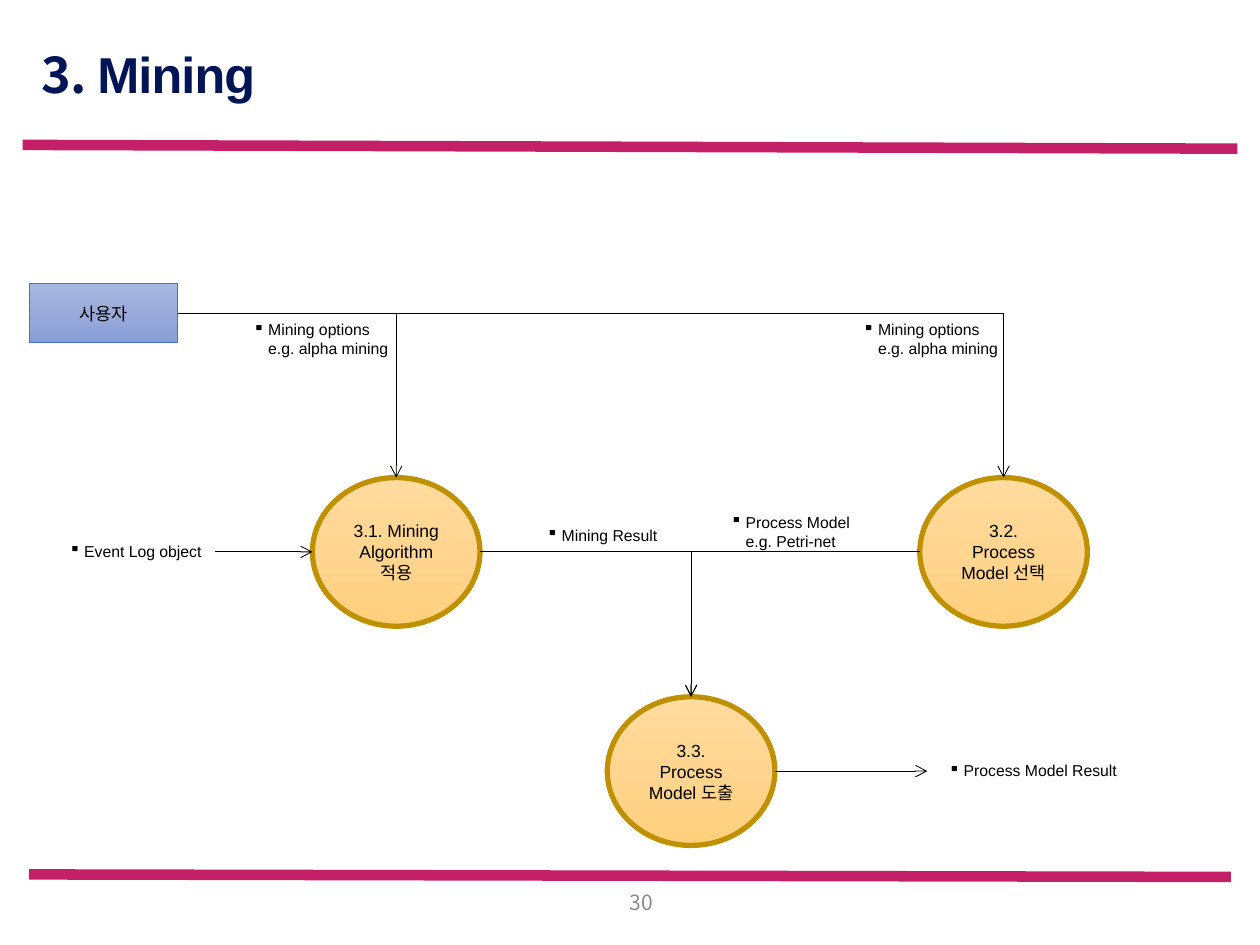
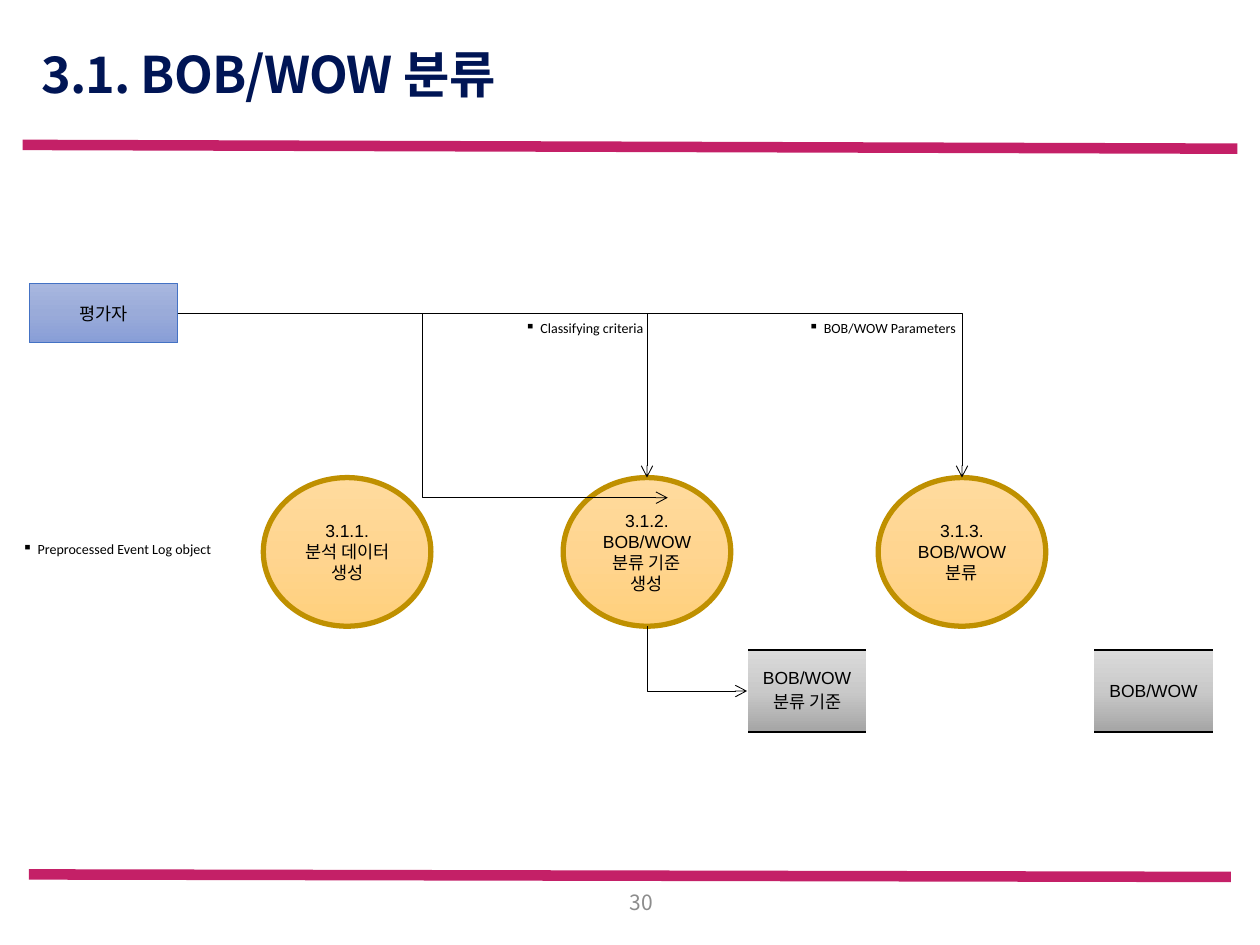
import copy
from dataclasses import dataclass

import pptx
import pptx.dml.color
import pptx.enum.shapes
import pptx.enum.text
import pptx.oxml
import pptx.oxml.ns
import pptx.util
from lxml import etree

Inches = pptx.util.Inches
Pt = pptx.util.Pt
qn = pptx.oxml.ns.qn
ANCHOR = pptx.enum.text.MSO_ANCHOR
ALIGN = pptx.enum.text.PP_ALIGN
AUTO_SIZE = pptx.enum.text.MSO_AUTO_SIZE
SHAPE = pptx.enum.shapes.MSO_SHAPE
CONNECTOR = pptx.enum.shapes.MSO_CONNECTOR


@dataclass(frozen=True)
class Theme:
    band: str = "C42067"
    title: str = "001555"
    number: str = "8C8C8C"
    ink: str = "000000"
    paper: str = "FFFFFF"
    process_line: str = "BF9000"
    actor_line: str = "4472C4"
    process_fill: tuple = ("FFDB9E", "FFD590", "FFD07C")
    actor_fill: tuple = ("A8B7DF", "9AABD9", "889ED7")
    store_fill: tuple = ("DBDBDB", "C9C9C9", "A5A5A5")
    title_font: str = "Noto Sans CJK KR"
    body_font: str = "Arial"
    small_font: str = "Calibri"
    title_size: float = 28.8
    number_size: float = 12
    node_size: float = 10
    label_size: float = 9
    small_size: float = 8


THEME = Theme()
PROCESS_TOP = Inches(3.79)
PROCESS_SIZE = Inches(1.33), Inches(1.18)
STORE_TOP = Inches(5.16)
STORE_SIZE = Inches(0.95), Inches(0.65)
LABEL_TOP = 2.49


def rgb(value):
    return pptx.dml.color.RGBColor.from_string(value)


def set_font(font, name, size, color):
    font.name = name
    font.size = Pt(size)
    font.color.rgb = rgb(color)


def write_centred(tf, lines):
    """Fill a node with one centred paragraph for each line."""
    for i, line in enumerate(lines):
        p = tf.paragraphs[0] if i == 0 else tf.add_paragraph()
        p.text = line
        p.alignment = ALIGN.CENTER
        set_font(p.font, THEME.body_font, THEME.node_size, THEME.ink)


def fill_gradient(fill, element, colors):
    """Apply three evenly spaced stops from top to bottom."""
    fill.gradient()
    fill.gradient_angle = 270
    stops = element.find(".//" + qn("a:gsLst"))
    stops.insert(1, copy.deepcopy(stops[0]))
    for i, (stop, color) in enumerate(zip(fill.gradient_stops, colors)):
        stop.color.rgb = rgb(color)
        stop.position = i / 2


def add_line(s, kind, begin, end, color=THEME.ink, width=0.5, arrow="tailEnd"):
    """Draw a connector; arrow names the line end that gets a head, or None."""
    line = s.shapes.add_connector(kind, *begin, *end)
    line.line.color.rgb = rgb(color)
    line.line.width = Pt(width)
    sp_pr = line.element.spPr
    if arrow:
        etree.SubElement(sp_pr.find(qn("a:ln")), qn("a:" + arrow), type="arrow")
    etree.SubElement(sp_pr, qn("a:effectLst"))
    return line


def add_arrow(s, begin, end):
    return add_line(s, CONNECTOR.STRAIGHT, begin, end)


def add_corner(s, begin, end, arrow="tailEnd"):
    """Draw a one-bend connector that runs across first, then up or down."""
    line = add_line(s, CONNECTOR.ELBOW, begin, end, arrow=arrow)
    line.element.spPr.find(qn("a:prstGeom")).set("prst", "bentConnector2")
    return line


def port(sp, across, down):
    """Point on a shape, as fractions of its width and height."""
    return int(sp.left + sp.width * across), int(sp.top + sp.height * down)


def add_node(s, shape, box, lines, colors, line_color, line_width):
    sp = s.shapes.add_shape(shape, *box)
    sp.shadow.inherit = False
    fill_gradient(sp.fill, sp.element, colors)
    sp.line.color.rgb = rgb(line_color)
    sp.line.width = Pt(line_width)
    tf = sp.text_frame
    tf.word_wrap = True
    tf.vertical_anchor = ANCHOR.MIDDLE
    write_centred(tf, lines)
    return sp


def add_process(s, left, *lines, top=PROCESS_TOP):
    box = Inches(left), top, *PROCESS_SIZE
    return add_node(s, SHAPE.OVAL, box, lines, THEME.process_fill,
                    THEME.process_line, 3)


def add_actor(s, name):
    box = [Inches(v) for v in (0.23, 2.25, 1.18, 0.47)]
    return add_node(s, SHAPE.RECTANGLE, box, [name], THEME.actor_fill,
                    THEME.actor_line, 0.5)


def add_store(s, left, *lines):
    """Draw a data store: a one-cell table ruled above and below."""
    frame = s.shapes.add_table(1, 1, Inches(left), STORE_TOP, *STORE_SIZE)
    table = frame.table
    table.first_row = table.horz_banding = False
    cell = table.cell(0, 0)
    cell.vertical_anchor = ANCHOR.MIDDLE
    write_centred(cell.text_frame, lines)
    tc_pr = cell._tc.get_or_add_tcPr()
    fill_gradient(cell.fill, tc_pr, THEME.store_fill)
    borders = (("lnL", THEME.paper, 1), ("lnR", THEME.paper, 1),
               ("lnT", THEME.ink, 1.5), ("lnB", THEME.ink, 1.5))
    for i, (side, color, width) in enumerate(borders):
        ln = etree.Element(qn("a:" + side), w=str(Pt(width)))
        solid = etree.SubElement(ln, qn("a:solidFill"))
        etree.SubElement(solid, qn("a:srgbClr"), val=color)
        tc_pr.insert(i, ln)
    return frame


def add_label(s, text, left, top, width, height=0.25, wrap=False,
              font=THEME.body_font, size=THEME.label_size):
    """Add a bulleted data-flow label."""
    box = s.shapes.add_textbox(*(Inches(v) for v in (left, top, width, height)))
    tf = box.text_frame
    tf.word_wrap = wrap
    tf.auto_size = AUTO_SIZE.SHAPE_TO_FIT_TEXT
    p = tf.paragraphs[0]
    p.text = text
    p_pr = p._p.get_or_add_pPr()
    p_pr.set("marL", str(Inches(0.19)))
    p_pr.set("indent", str(Inches(-0.12)))
    etree.SubElement(p_pr, qn("a:buChar"), char="▪")
    set_font(p.font, font, size, THEME.ink)


def add_small_label(s, text, left, top, width):
    add_label(s, text, left, top, width, 0.24,
              font=THEME.small_font, size=THEME.small_size)


def prepare_layout(layout, s):
    """Put the bands and the title position on the layout, drawing via slide s."""
    title = layout.placeholders[0]
    title.left, title.top = Inches(0.23), Inches(0.4)
    title.width, title.height = Inches(9.41), Inches(0.43)
    bands = ((0.18, 1.15, 9.82, 1.18), (0.23, 6.94, 9.77, 6.96))
    for i, band in enumerate(bands):
        x1, y1, x2, y2 = (Inches(v) for v in band)
        line = add_line(s, CONNECTOR.STRAIGHT, (x1, y1), (x2, y2),
                        THEME.band, 6, arrow=None)
        line.element.nvCxnSpPr.cNvPr.set("id", str(20 + i))
        layout.shapes._spTree.append(line.element)


def add_title(s, parts):
    """Write the title from (text, font) parts."""
    tf = s.shapes.title.text_frame
    tf.vertical_anchor = ANCHOR.MIDDLE
    tf.auto_size = AUTO_SIZE.NONE
    p = tf.paragraphs[0]
    p.alignment = ALIGN.LEFT
    p.line_spacing = 0.9
    for text, font in parts:
        r = p.add_run()
        r.text = text
        set_font(r.font, font, THEME.title_size, THEME.title)
        r.font.bold = True
        r._r.get_or_add_rPr().set("spc", "-50")


def add_page_number(s, number):
    box = s.shapes.add_textbox(*(Inches(v) for v in (4.69, 7.05, 0.59, 0.22)))
    tf = box.text_frame
    tf.word_wrap = True
    tf.vertical_anchor = ANCHOR.MIDDLE
    p = tf.paragraphs[0]
    p.text = number
    p.alignment = ALIGN.RIGHT
    set_font(p.font, THEME.title_font, THEME.number_size, THEME.number)


def build_mining(s):
    add_title(s, [("3. ", THEME.title_font), ("Mining", THEME.body_font)])
    add_page_number(s, "30")
    user = add_actor(s, "사용자")
    algorithm = add_process(s, 2.48, "3.1. Mining Algorithm적용")
    selection = add_process(s, 7.3, "3.2. Process Model 선택")
    derivation = add_process(s, 4.82, "3.3. Process Model 도출", top=Inches(5.53))

    for process in (algorithm, selection):
        add_corner(s, port(user, 1, 0.5), port(process, 0.5, 0))
    add_corner(s, port(algorithm, 1, 0.5), port(derivation, 0.5, 0))
    add_corner(s, port(selection, 0, 0.5), port(derivation, 0.5, 0))
    add_arrow(s, (Inches(1.71), Inches(4.38)), port(algorithm, 0, 0.5))
    add_arrow(s, port(derivation, 1, 0.5), (Inches(7.36), Inches(6.12)))

    for left in (1.84, 6.68):
        add_label(s, "Mining options\ne.g. alpha mining", left, LABEL_TOP, 1.35, 0.4)
    add_label(s, "Event Log object", 0.38, 4.25, 1.33)
    add_label(s, "Mining Result", 4.17, 4.12, 1.16)
    add_label(s, "Process Model\ne.g. Petri-net", 5.63, 4.02, 1.23, 0.4)
    add_label(s, "Process Model Result", 7.36, 5.99, 1.64, wrap=True)


def build_classification(s):
    add_title(s, [("3.1. BOB/WOW 분류", THEME.title_font)])
    add_page_number(s, "30")
    evaluator = add_actor(s, "평가자")
    add_process(s, 2.09, "3.1.1.", "분석 데이터 생성")
    criteria = add_process(s, 4.47, "3.1.2. BOB/WOW 분류 기준 생성")
    classification = add_process(s, 6.97, "3.1.3. BOB/WOW 분류")
    criteria_store = add_store(s, 5.93, "BOB/WOW", "분류 기준")
    add_store(s, 8.68, "BOB/WOW")

    start = port(evaluator, 1, 0.5)
    add_corner(s, (Inches(2.09), start[1]), port(criteria, 0.5, 0))
    add_corner(s, start, port(classification, 0.5, 0))
    add_corner(s, port(criteria_store, 0, 0.5), port(criteria, 0.5, 1), "headEnd")
    add_line(s, CONNECTOR.ELBOW, start, (Inches(5.3), Inches(3.95)))

    add_small_label(s, "Classifying criteria", 4, LABEL_TOP, 1.22)
    add_small_label(s, "BOB/WOW Parameters", 6.25, LABEL_TOP, 1.46)
    add_small_label(s, "Preprocessed Event Log object", 0.01, 4.24, 1.81)


def main():
    prs = pptx.Presentation()
    prs.slide_width, prs.slide_height = Inches(10), Inches(7.5)
    layout = prs.slide_layouts.get_by_name("Title Only")
    mining, classification = (prs.slides.add_slide(layout) for _ in range(2))
    prepare_layout(layout, mining)
    build_mining(mining)
    build_classification(classification)
    prs.save("out.pptx")


if __name__ == "__main__":
    main()
